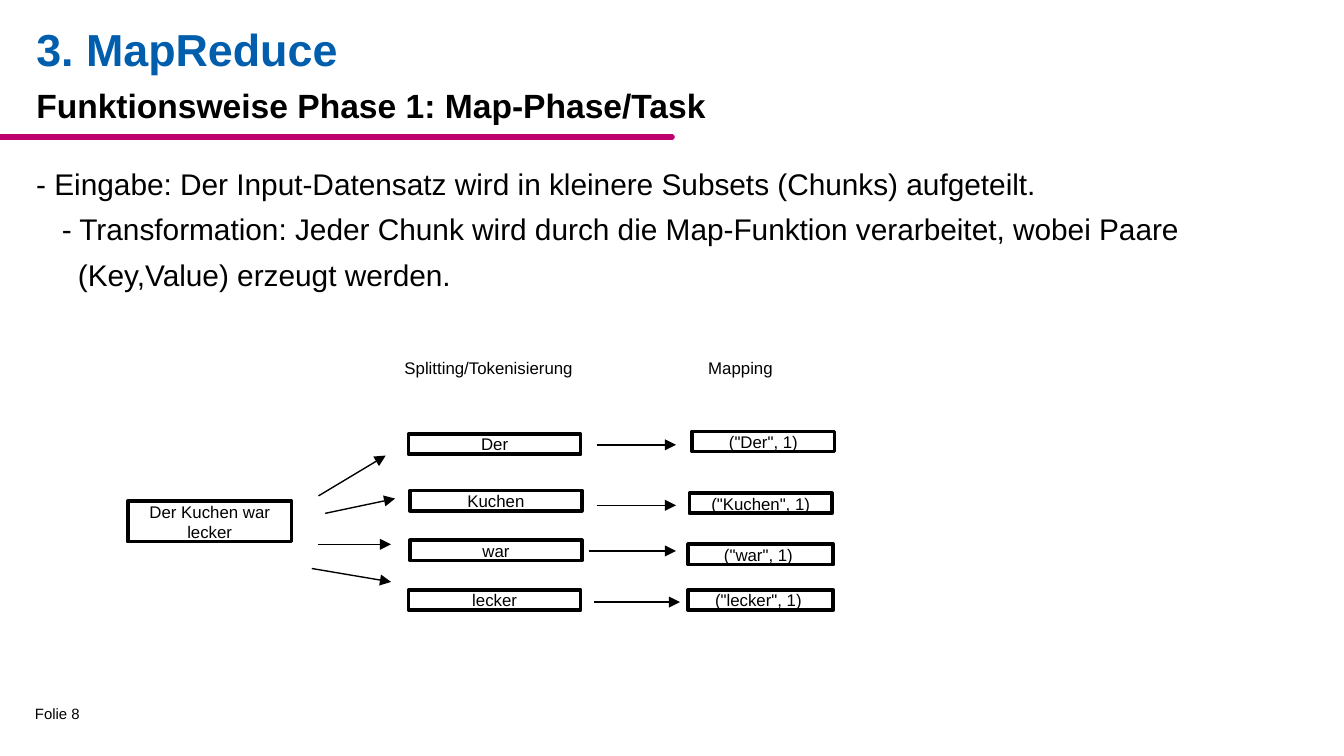
"""Builds the slide on the map phase of MapReduce."""
from typing import NamedTuple

from lxml import etree
from pptx import Presentation
from pptx.dml.color import RGBColor
from pptx.enum import shapes, text
from pptx.oxml import ns
from pptx.util import Inches, Pt

BLACK = RGBColor(0, 0, 0)
WHITE = RGBColor(255, 255, 255)
BLUE = RGBColor(0x00, 0x5E, 0xAD)
MAGENTA = RGBColor(0xBE, 0x00, 0x6E)


class Box(NamedTuple):
    label: str
    left: float
    top: float
    width: float
    height: float = 0.15


class Line(NamedTuple):
    x1: float
    y1: float
    x2: float
    y2: float


class Point(NamedTuple):
    label: str
    indent: float


POINTS = [
    Point("- Eingabe: Der Input-Datensatz wird in kleinere Subsets (Chunks) aufgeteilt.", 0),
    Point("- Transformation: Jeder Chunk wird durch die Map-Funktion verarbeitet, wobei Paare", 0.19),
    Point("(Key,Value) erzeugt werden.", 0.31),
]
SENTENCE = Box("Der Kuchen war lecker", 0.95, 3.73, 1.22, 0.3)
TOKENS = [
    Box("Der", 3.04, 3.23, 1.28),
    Box("Kuchen", 3.05, 3.65, 1.28),
    Box("war", 3.05, 4.02, 1.28),
    Box("lecker", 3.04, 4.39, 1.28),
]
PAIRS = [
    Box('("Der", 1)', 5.15, 3.21, 1.06),
    Box('("Kuchen", 1)', 5.13, 3.67, 1.06),
    Box('("war", 1) ', 5.12, 4.05, 1.08),
    Box('("lecker", 1) ', 5.12, 4.39, 1.08),
]
SPLIT_ARROWS = [
    Line(2.37, 3.69, 2.87, 3.39),
    Line(2.42, 3.82, 2.94, 3.71),
    Line(2.37, 4.05, 2.91, 4.05),
    Line(2.32, 4.23, 2.91, 4.33),
]
MAP_ARROWS = [
    Line(4.44, 3.31, 5.03, 3.31),
    Line(4.44, 3.76, 5.03, 3.76),
    Line(4.38, 4.1, 5.03, 4.1),
    Line(4.42, 4.48, 5.06, 4.48),
]
HEADINGS = [
    Box("Splitting/Tokenisierung", 3.01, 2.66, 1.5),
    Box("Mapping", 5.27, 2.66, 0.8),
]


def write(shape, points: list[Point], *, size: float, color: RGBColor = BLACK,
          bold: bool = False, align=text.PP_ALIGN.LEFT,
          anchor=text.MSO_ANCHOR.TOP, fit=text.MSO_AUTO_SIZE.NONE,
          space_after: float = 0) -> None:
    frame = shape.text_frame
    frame.word_wrap = True
    frame.auto_size = fit
    frame.vertical_anchor = anchor
    frame.margin_left = frame.margin_right = frame.margin_top = frame.margin_bottom = 0
    frame.text = "\n".join(point.label for point in points)
    for paragraph, point in zip(frame.paragraphs, points):
        paragraph.alignment = align
        paragraph.space_before = Pt(0)
        paragraph.space_after = Pt(space_after)
        if point.indent:
            paragraph._p.get_or_add_pPr().set("marL", str(Inches(point.indent)))
        font = paragraph.runs[0].font
        font.name = "Arial"
        font.size = Pt(size)
        font.bold = bold
        font.color.rgb = color


def add_label(slide, label: Box, **style) -> None:
    holder = slide.shapes.add_textbox(*map(Inches, label[1:]))
    write(holder, [Point(label.label, 0)], **style)


def add_box(slide, box: Box) -> None:
    rectangle = slide.shapes.add_shape(shapes.MSO_SHAPE.RECTANGLE, *map(Inches, box[1:]))
    rectangle.shadow.inherit = False
    rectangle.fill.solid()
    rectangle.fill.fore_color.rgb = WHITE
    rectangle.line.color.rgb = BLACK
    rectangle.line.width = Pt(2)
    write(rectangle, [Point(box.label, 0)], size=9, align=text.PP_ALIGN.CENTER,
          anchor=text.MSO_ANCHOR.MIDDLE, fit=text.MSO_AUTO_SIZE.SHAPE_TO_FIT_TEXT)


def add_line(slide, line: Line, color: RGBColor = BLACK, width: float = 0.75,
             arrow: bool = True) -> None:
    connector = slide.shapes.add_connector(
        shapes.MSO_CONNECTOR.STRAIGHT, *map(Inches, line))
    connector.line.color.rgb = color
    connector.line.width = Pt(width)
    properties = connector._element.spPr
    outline = properties.find(ns.qn("a:ln"))
    if arrow:
        etree.SubElement(outline, ns.qn("a:tailEnd"), type="triangle")
    else:
        outline.set("cap", "rnd")
    etree.SubElement(properties, ns.qn("a:effectLst"))


def main() -> None:
    deck = Presentation()
    deck.slide_width = Inches(10)
    deck.slide_height = deck.slide_width * 9 // 16
    slide = deck.slides.add_slide(deck.slide_layouts[5])

    title = slide.shapes.title
    title.left, title.top, title.width, title.height = map(Inches, (0.27, 0.19, 9.45, 0.37))
    write(title, [Point("3. MapReduce", 0)], size=24, color=BLUE, bold=True,
          anchor=text.MSO_ANCHOR.BOTTOM)
    add_label(slide, Box("Funktionsweise Phase 1: Map-Phase/Task", 0.27, 0.63, 9.45, 0.42),
              size=18, bold=True)
    add_line(slide, Line(0, 1.02, 5, 1.02), MAGENTA, 3, arrow=False)

    body = slide.shapes.add_textbox(*map(Inches, (0.27, 1.23, 9.46, 1.2)))
    write(body, POINTS, size=16, space_after=5.3)

    for heading in HEADINGS:
        add_label(slide, heading, size=9)
    for box in [SENTENCE, *TOKENS, *PAIRS]:
        add_box(slide, box)
    for arrow in SPLIT_ARROWS + MAP_ARROWS:
        add_line(slide, arrow)

    add_label(slide, Box("Folie 8", 0.26, 5.24, 7.46, 0.13), size=8)
    deck.save("out.pptx")


if __name__ == "__main__":
    main()
